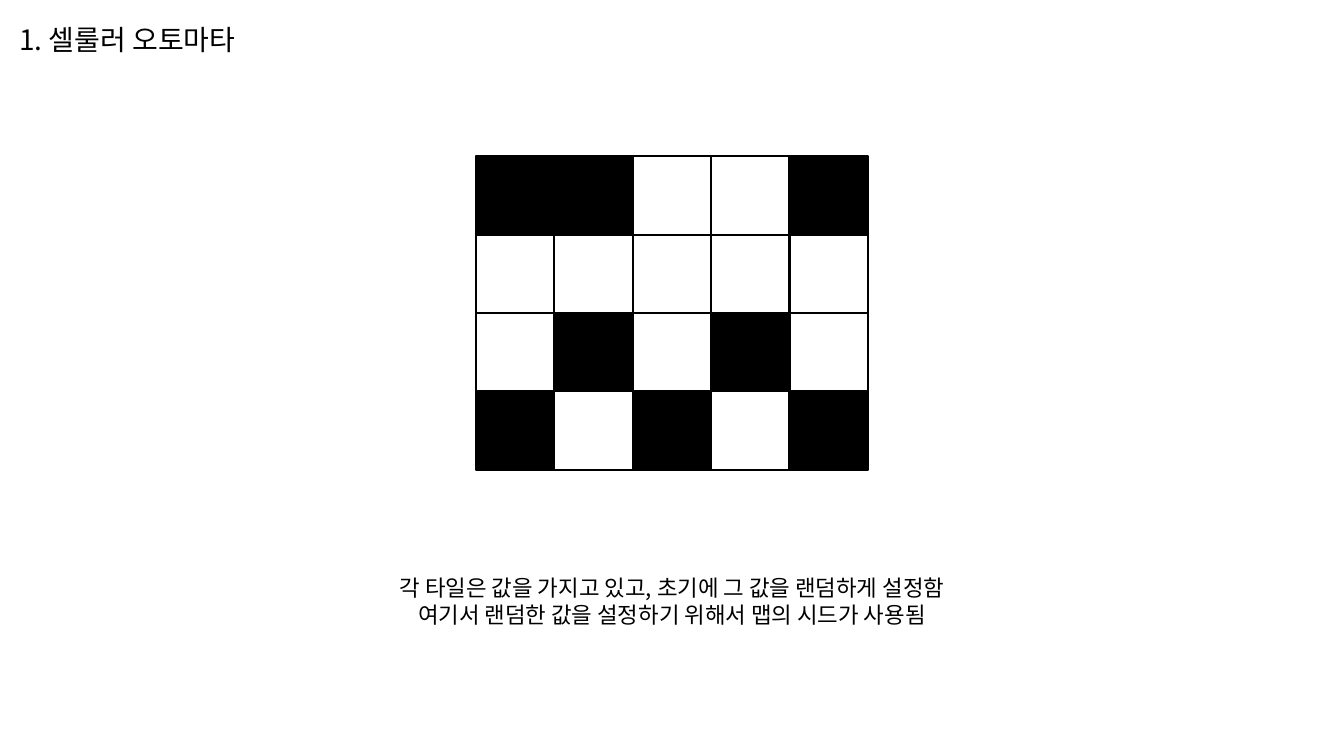
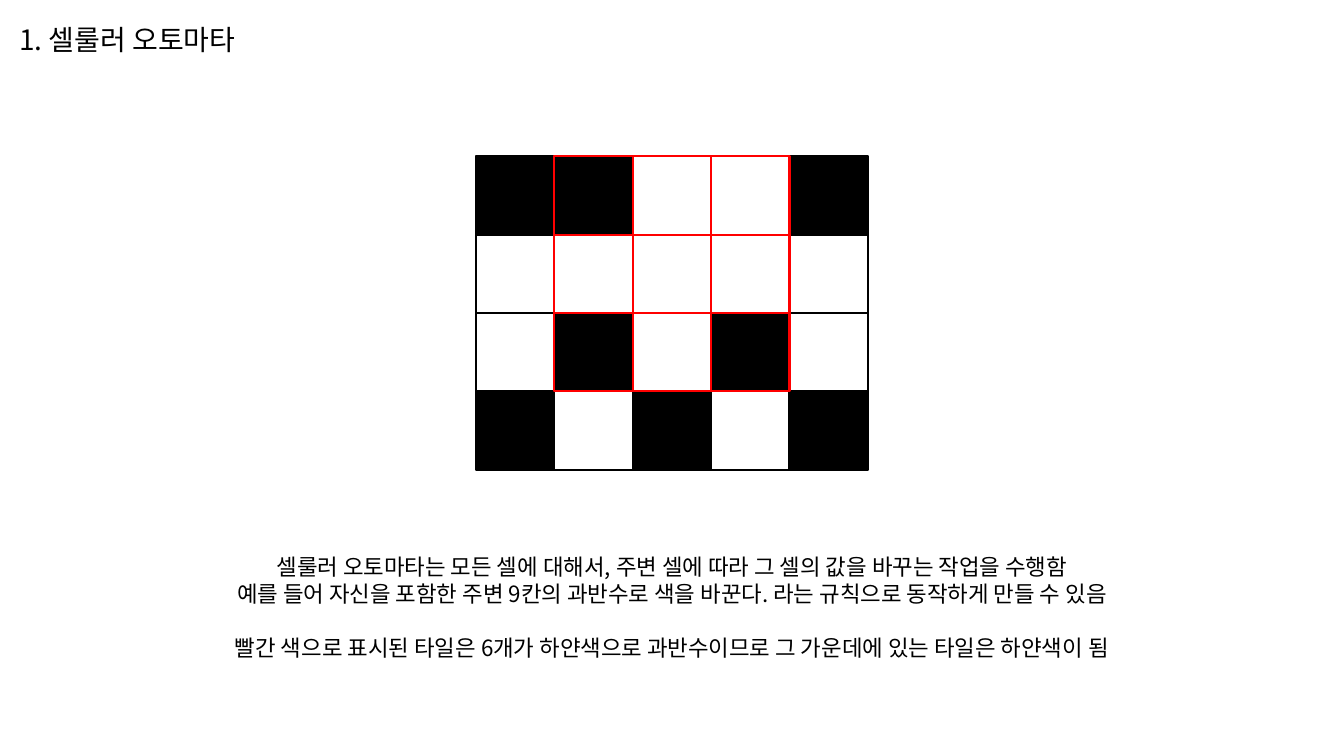
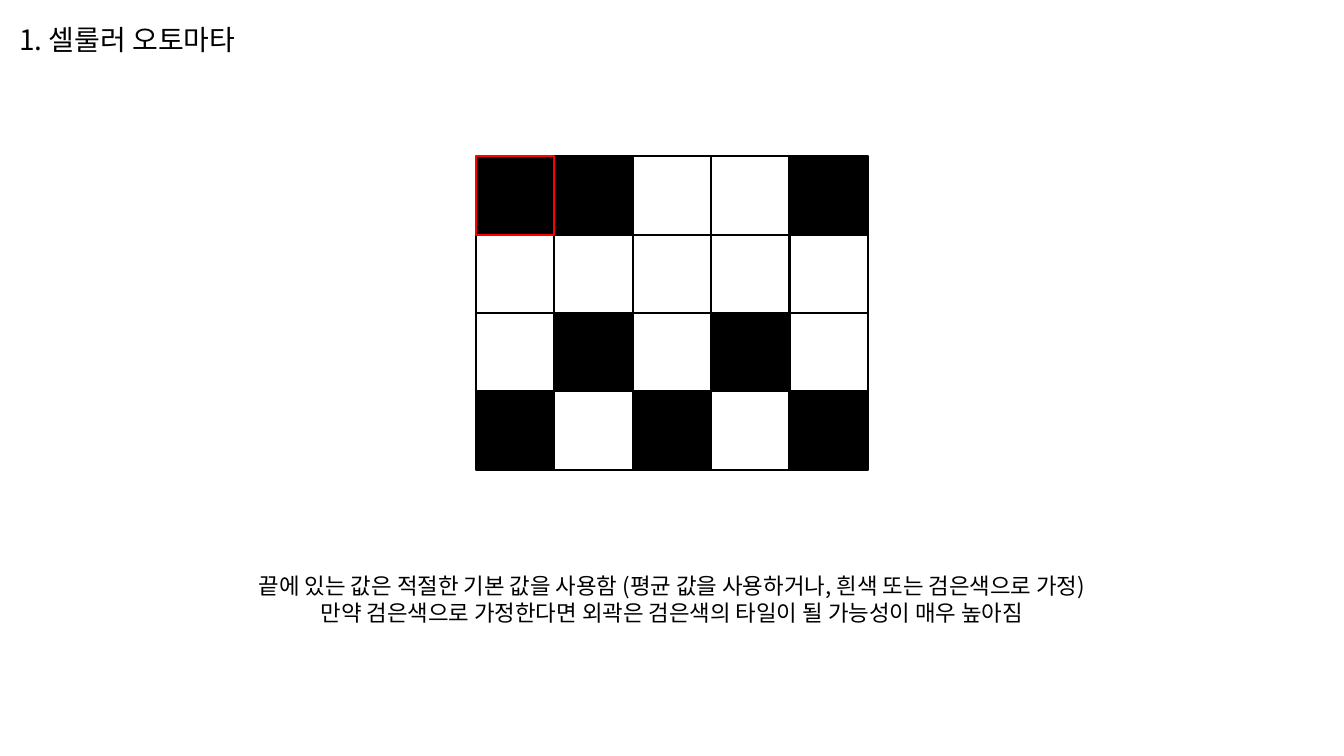
import dataclasses
import itertools

import pptx
import pptx.dml.color
import pptx.enum.shapes
import pptx.enum.text
import pptx.oxml
import pptx.oxml.ns
import pptx.util

Pt = pptx.util.Pt
RGBColor = pptx.dml.color.RGBColor
ALIGN = pptx.enum.text.PP_ALIGN


@dataclasses.dataclass(frozen=True)
class Theme:
    font: str = "Noto Sans CJK KR"
    black: RGBColor = RGBColor(0, 0, 0)
    white: RGBColor = RGBColor(255, 255, 255)
    red: RGBColor = RGBColor(255, 0, 0)
    title_size: float = 20
    body_size: float = 16
    line_ratio: float = 1.2
    outline: float = 1.5


THEME = Theme()
SLIDE_WIDTH, SLIDE_HEIGHT = 960, 540
TILE = 56
GRID_TOP = 111.6

TITLE = "1. 셀룰러 오토마타"
TILE_MAP = ["##..#", ".....", ".#.#.", "#.#.#"]
SLIDES = [
    {
        "marked": [],
        "top": 406.8,
        "width": 405.4,
        "text": [
            "각 타일은 값을 가지고 있고, 초기에 그 값을 랜덤하게 설정함",
            "여기서 랜덤한 값을 설정하기 위해서 맵의 시드가 사용됨",
        ],
    },
    {
        "marked": list(itertools.product(range(3), range(1, 4))),
        "top": 391.7,
        "width": 648,
        "text": [
            "셀룰러 오토마타는 모든 셀에 대해서, 주변 셀에 따라 그 셀의 값을 바꾸는 작업을 수행함",
            "예를 들어 자신을 포함한 주변 9칸의 과반수로 색을 바꾼다. 라는 규칙으로 동작하게 만들 수 있음",
            "빨간 색으로 표시된 타일은 6개가 하얀색으로 과반수이므로 그 가운데에 있는 타일은 하얀색이 됨",
        ],
        "gap_before": 2,
    },
    {
        "marked": [(0, 0)],
        "top": 405.4,
        "width": 607,
        "text": [
            "끝에 있는 값은 적절한 기본 값을 사용함 (평균 값을 사용하거나, 흰색 또는 검은색으로 가정)",
            "만약 검은색으로 가정한다면 외곽은 검은색의 타일이 될 가능성이 매우 높아짐",
        ],
    },
]


def add_text(slide, left, top, width, lines, size, align, gap_before=None):
    line_height = size * THEME.line_ratio
    box = slide.shapes.add_textbox(
        Pt(left), Pt(top), Pt(width), Pt(line_height * len(lines) + 7.2)
    )
    text_frame = box.text_frame
    text_frame.word_wrap = True
    text_frame.auto_size = pptx.enum.text.MSO_AUTO_SIZE.SHAPE_TO_FIT_TEXT
    text_frame.text = "\n".join(lines)
    for index, paragraph in enumerate(text_frame.paragraphs):
        paragraph.alignment = align
        paragraph.line_spacing = Pt(line_height)
        if index == gap_before:
            paragraph.space_before = Pt(line_height)
        for run in paragraph.runs:
            run.font.name = THEME.font
            run.font.size = Pt(size)
            run.font.color.rgb = THEME.black
            east_asian = pptx.oxml.parse_xml(
                f'<a:ea {pptx.oxml.ns.nsdecls("a")} typeface="{THEME.font}"/>'
            )
            run.font._element.append(east_asian)


def add_tile_map(slide, marked):
    grid_left = (SLIDE_WIDTH - TILE * len(TILE_MAP[0])) / 2
    cells = itertools.product(range(len(TILE_MAP)), range(len(TILE_MAP[0])))
    for row, column in sorted(cells, key=lambda cell: cell in marked):
        tile = slide.shapes.add_shape(
            pptx.enum.shapes.MSO_SHAPE.RECTANGLE,
            Pt(grid_left + column * TILE),
            Pt(GRID_TOP + row * TILE),
            Pt(TILE),
            Pt(TILE),
        )
        tile.shadow.inherit = False
        tile.fill.solid()
        is_black = TILE_MAP[row][column] == "#"
        tile.fill.fore_color.rgb = THEME.black if is_black else THEME.white
        tile.line.color.rgb = THEME.red if (row, column) in marked else THEME.black
        tile.line.width = Pt(THEME.outline)


def main():
    presentation = pptx.Presentation()
    presentation.slide_width = Pt(SLIDE_WIDTH)
    presentation.slide_height = Pt(SLIDE_HEIGHT)
    for content in SLIDES:
        slide = presentation.slides.add_slide(presentation.slide_layouts[6])
        add_text(slide, 6.5, 12.2, 170, [TITLE], THEME.title_size, ALIGN.LEFT)
        add_text(
            slide,
            (SLIDE_WIDTH - content["width"]) / 2,
            content["top"],
            content["width"],
            content["text"],
            THEME.body_size,
            ALIGN.CENTER,
            content.get("gap_before"),
        )
        add_tile_map(slide, content["marked"])
    presentation.save("out.pptx")


if __name__ == "__main__":
    main()
